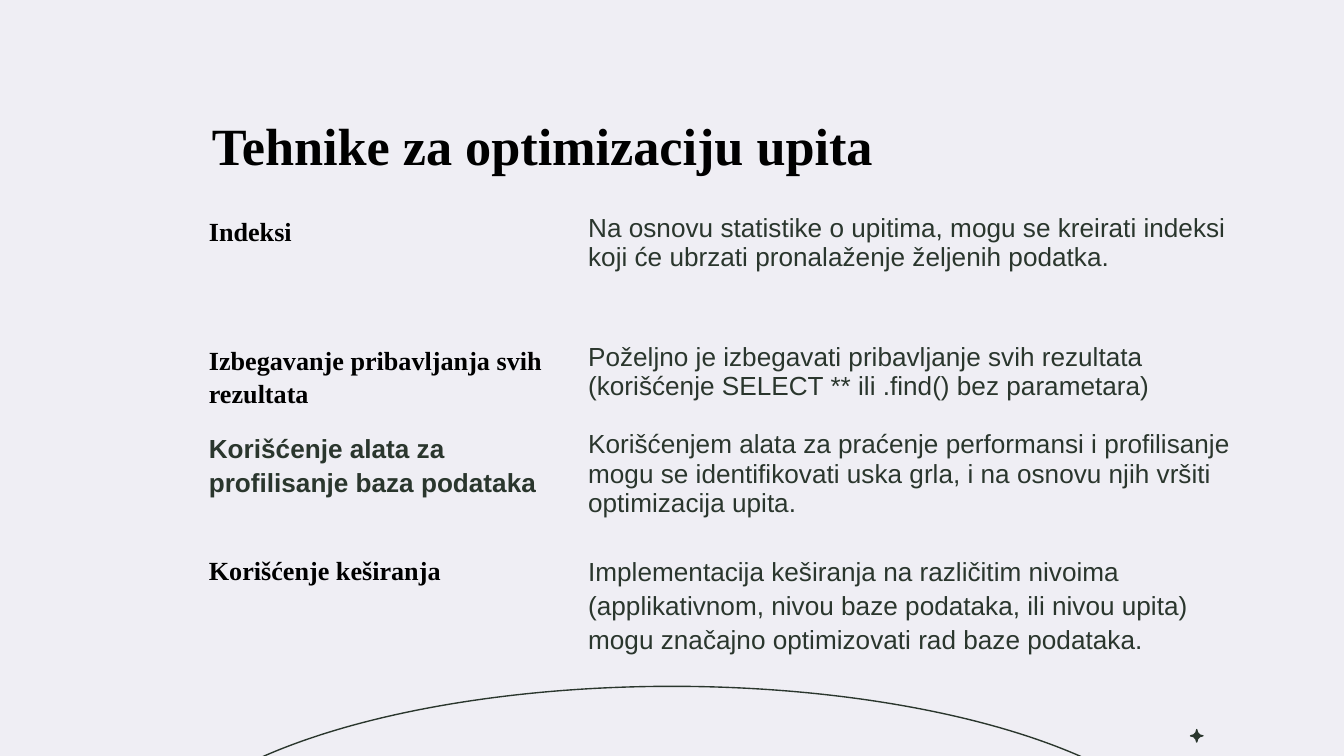
import pptx
import pptx.dml.color
import pptx.enum.shapes
import pptx.util

Pt = pptx.util.Pt
SHAPES = pptx.enum.shapes.MSO_SHAPE

THEME = {
    "background": "EFEEF4", "ink": "2A362D", "black": "000000",
    "serif": "Times New Roman", "sans": "Arial",
    "title_size": 28, "body_size": 14, "line": 0.75,
}
SERIF_BOLD = {"name": THEME["serif"], "color": THEME["black"], "bold": True}
SANS_BOLD = {"name": THEME["sans"], "color": THEME["ink"], "bold": True}
SANS = {**SANS_BOLD, "bold": False}
LOOSE = {"line_spacing": 1.15, "space_after": Pt(10)}
TIGHT = {}

TITLE = "Tehnike za optimizaciju upita"
TECHNIQUES = [
    (69, "Indeksi", SERIF_BOLD,
     "Na osnovu statistike o upitima, mogu se kreirati indeksi koji će ubrzati "
     "pronalaženje željenih podatka.", TIGHT),
    (47, "Izbegavanje pribavljanja svih rezultata", SERIF_BOLD,
     "Poželjno je izbegavati pribavljanje svih rezultata (korišćenje SELECT ** "
     "ili .find() bez parametara)", TIGHT),
    (66, "Korišćenje alata za profilisanje baza podataka", SANS_BOLD,
     "Korišćenjem alata za praćenje performansi i profilisanje mogu se identifikovati "
     "uska grla, i na osnovu njih vršiti optimizacija upita.", TIGHT),
    (51, "Korišćenje keširanja", SERIF_BOLD,
     "Implementacija keširanja na različitim nivoima (applikativnom, nivou baze podataka, "
     "ili nivou upita) mogu značajno optimizovati rad baze podataka.", LOOSE),
]
COLUMN_WIDTHS = (205, 356.5)
COLUMN_INSETS = (5.4, 3.6)
LEFT, TITLE_TOP, TABLE_TOP = 106.5, 52, 114.5
NO_GRID_STYLE = "{2D5ABB26-0587-4C30-8999-92F81FD0307C}"


def rgb(value):
    return pptx.dml.color.RGBColor.from_string(value)


def write(frame, text, face, size, spacing):
    paragraph = frame.paragraphs[0]
    for key, value in spacing.items():
        setattr(paragraph, key, value)
    run = paragraph.add_run()
    run.text = text
    for key, value in {"name": face["name"], "bold": face["bold"], "size": Pt(size)}.items():
        setattr(run.font, key, value)
    run.font.color.rgb = rgb(face["color"])


def add_ornament(slide, kind, box, fill=None):
    ornament = slide.shapes.add_shape(kind, *map(Pt, box))
    ornament.shadow.inherit = False
    ornament.line.color.rgb = rgb(THEME["ink"])
    ornament.line.width = Pt(THEME["line"])
    if fill:
        ornament.fill.solid()
        ornament.fill.fore_color.rgb = rgb(fill)
    else:
        ornament.fill.background()
    return ornament


def add_title(slide):
    title = slide.shapes.add_textbox(Pt(LEFT), Pt(TITLE_TOP), Pt(421), Pt(43))
    title.text_frame.word_wrap = True
    write(title.text_frame, TITLE, SERIF_BOLD, THEME["title_size"],
          {"line_spacing": 1.15, "space_before": Pt(2)})


def add_techniques(slide):
    heights = [technique[0] for technique in TECHNIQUES]
    frame = slide.shapes.add_table(
        len(heights), len(COLUMN_WIDTHS), Pt(LEFT), Pt(TABLE_TOP),
        Pt(sum(COLUMN_WIDTHS)), Pt(sum(heights)))
    table = frame.table
    table.first_row = table.horz_banding = False
    frame._element.xpath(".//a:tableStyleId")[0].text = NO_GRID_STYLE
    for column, width in zip(table.columns, COLUMN_WIDTHS):
        column.width = Pt(width)
    for row, (height, name, name_face, description, spacing) in zip(table.rows, TECHNIQUES):
        row.height = Pt(height)
        contents = ((name, name_face, LOOSE), (description, SANS, spacing))
        for cell, inset, (text, face, gaps) in zip(row.cells, COLUMN_INSETS, contents):
            cell.fill.background()
            margins = {"margin_left": Pt(inset), "margin_right": Pt(inset),
                       "margin_top": 0, "margin_bottom": 0}
            for key, value in margins.items():
                setattr(cell, key, value)
            write(cell.text_frame, text, face, THEME["body_size"], gaps)


def main():
    """Build the slide on query optimisation techniques."""
    deck = pptx.Presentation()
    deck.slide_width, deck.slide_height = Pt(720), Pt(405)
    slide = deck.slides.add_slide(deck.slide_layouts[6])
    slide.background.fill.solid()
    slide.background.fill.fore_color.rgb = rgb(THEME["background"])
    add_ornament(slide, SHAPES.OVAL, (75.6, 367.7, 568.8, 207.4))
    star = add_ornament(slide, SHAPES.PLAQUE, (637.8, 390.9, 6.6, 6.6), THEME["ink"])
    star.adjustments[0] = 0.5
    add_techniques(slide)
    add_title(slide)
    deck.save("out.pptx")


if __name__ == "__main__":
    main()
